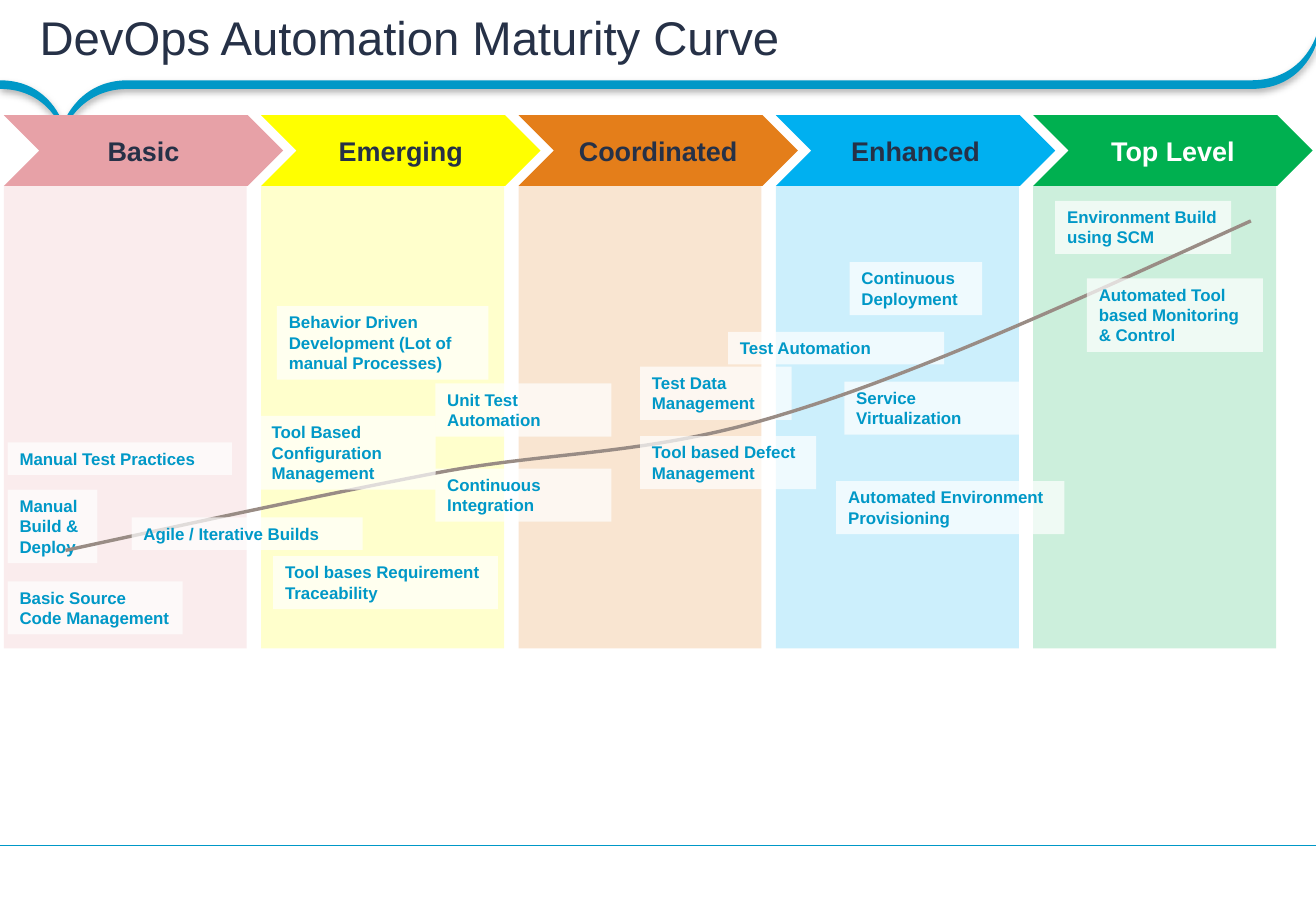
from dataclasses import dataclass
from lxml.etree import SubElement
from pptx import Presentation
from pptx.dml.color import RGBColor
from pptx.enum.shapes import MSO_CONNECTOR, MSO_SHAPE
from pptx.enum.text import MSO_ANCHOR, MSO_AUTO_SIZE, PP_ALIGN
from pptx.oxml.ns import qn
from pptx.util import Cm, Pt


@dataclass(frozen=True)
class Theme:
    font: str = "Arial"
    ink: str = "263147"
    blue: str = "0098C7"
    white: str = "FFFFFF"
    curve: str = "998C85"
    shade: str = "000000"
    title: int = 28
    head: int = 16
    note: int = 10


THEME = Theme()
WIDE, HIGH = 27.51, 19.05  # all lengths in cm

TITLE = "DevOps Automation Maturity Curve"
STAGES = [  # name, fill, text colour
    ("Basic", "E7A1A7", THEME.ink),
    ("Emerging", "FFFF00", THEME.ink),
    ("Coordinated", "E47E1A", THEME.ink),
    ("Enhanced", "00B0F0", THEME.ink),
    ("Top Level", "00B050", THEME.white),
]
# text, left, top, width, number of lines
BACK = [
    ("Basic Source Code Management", 0.16, 12.16, 3.66, 2),
    ("Manual Test Practices", 0.16, 9.25, 4.69, 1),
    ("Manual Build & Deploy", 0.16, 10.24, 1.88, 3),
    ("Unit Test Automation", 9.1, 8.02, 3.68, 2),
    ("Continuous Integration", 9.1, 9.8, 3.68, 2),
    ("Automated Environment Provisioning", 17.48, 10.06, 4.77, 2),
    ("Test Data Management", 13.38, 7.67, 3.17, 2),
    ("Service Virtualization", 17.65, 7.98, 3.68, 2),
    ("Continuous Deployment", 17.76, 5.48, 2.77, 2),
    ("Test Automation", 15.22, 6.94, 4.52, 1),
    ("Environment Build using SCM", 22.06, 4.2, 3.68, 2),
]
FRONT = [
    ("Automated Tool based Monitoring & Control", 22.72, 5.82, 3.68, 3),
    ("Agile / Iterative Builds", 2.75, 10.82, 4.83, 1),
    ("Tool bases Requirement Traceability", 5.71, 11.63, 4.7, 2),
    ("Tool based Defect Management", 13.38, 9.12, 3.68, 2),
    ("Behavior Driven Development (Lot of manual Processes)", 5.79, 6.4, 4.42, 3),
    ("Tool Based Configuration Management", 5.43, 8.7, 3.68, 3),
]
# Bezier knots: start, then two handles and an end for each piece
CURVE = [(1.37, 11.51),
         (3.96, 10.95), (6.53, 10.39), (9.02, 9.91),
         (11.53, 9.42), (13.51, 9.55), (16.38, 8.66),
         (19.23, 7.8), (22.68, 6.2), (26.15, 4.62)]
RIBBON = [(0, 1.68),
          (1.04, 1.68), (1.32, 2.59), (1.32, 2.59),
          (1.32, 2.59), (1.63, 1.68), (2.67, 1.68),
          (2.67, 1.68), (26.16, 1.68), (26.16, 1.68),
          (27.23, 1.68), (27.51, 0.76), (27.51, 0.76)]
THICK = 0.18

LEFT, PITCH = 0.08, 5.38
HEAD_TOP, HEAD_WIDE, HEAD_HIGH = 2.41, 5.84, 1.48
BODY_WIDE, BODY_HIGH = 5.08, 9.67


def paint(shape, color, alpha=100):
    shape.shadow.inherit = False
    shape.line.fill.background()
    shape.fill.solid()
    shape.fill.fore_color.rgb = RGBColor.from_string(color)
    if alpha < 100:
        tint = shape.fill._xPr.find(qn("a:solidFill"))[0]
        SubElement(tint, qn("a:alpha"), val=str(alpha * 1000))


def write(shape, text, size, color, bold=True, align=PP_ALIGN.LEFT):
    frame = shape.text_frame
    frame.word_wrap = True
    frame.vertical_anchor = MSO_ANCHOR.MIDDLE
    para = frame.paragraphs[0]
    para.text = text
    para.alignment = align
    para.font.name = THEME.font
    para.font.size = Pt(size)
    para.font.bold = bold
    para.font.color.rgb = RGBColor.from_string(color)
    return frame


def block(slide, kind, *box):
    return slide.shapes.add_shape(kind, *(Cm(n) for n in box))


def bend(slide, knots, close):
    """Draw a chain of cubic Bezier pieces as one freeform."""
    first, *rest = [(Cm(x), Cm(y)) for x, y in knots]
    build = slide.shapes.build_freeform(*first)
    build.add_line_segments(rest, close=close)
    shape = build.convert_to_shape()
    lines = list(shape._element.iter(qn("a:lnTo")))
    for i in range(0, len(lines), 3):
        trio = lines[i:i + 3]
        trio[0].tag = qn("a:cubicBezTo")
        for line in trio[1:]:
            trio[0].append(line[0])
            line.getparent().remove(line)
    return shape


def add_ribbon(slide):
    lower = [(x, y + THICK) for x, y in reversed(RIBBON)]
    band = bend(slide, RIBBON + lower[:1] * 2 + lower, True)
    paint(band, THEME.blue)
    glow = band._element.spPr.find(qn("a:effectLst"))
    cast = SubElement(glow, qn("a:outerShdw"), blurRad=str(Pt(4)),
                      dist=str(Pt(2)), dir="5400000", rotWithShape="0")
    tint = SubElement(cast, qn("a:srgbClr"), val=THEME.shade)
    SubElement(tint, qn("a:alpha"), val="31000")


def add_rule(slide, y):
    rule = slide.shapes.add_connector(
        MSO_CONNECTOR.STRAIGHT, Cm(WIDE), Cm(y), 0, Cm(y))
    rule.line.color.rgb = RGBColor.from_string(THEME.blue)
    rule.line.width = Pt(0.75)
    SubElement(rule._element.spPr, qn("a:effectLst"))


def add_title(slide):
    box = slide.shapes.add_textbox(0, 0, Cm(WIDE), Cm(1.73))
    frame = write(box, TITLE, THEME.title, THEME.ink, bold=False)
    frame.margin_left, frame.margin_right = Cm(0.83), Cm(0.46)
    frame.margin_top = frame.margin_bottom = Cm(0.1)
    frame.paragraphs[0].line_spacing = 0.85


def add_stages(slide):
    for i, (_, color, _) in enumerate(STAGES):
        body = block(slide, MSO_SHAPE.RECTANGLE, LEFT + i * PITCH,
                     HEAD_TOP + HEAD_HIGH, BODY_WIDE, BODY_HIGH)
        paint(body, color, 20)
    for i, (name, color, ink) in enumerate(STAGES):
        head = block(slide, MSO_SHAPE.CHEVRON, LEFT + i * PITCH,
                     HEAD_TOP, HEAD_WIDE, HEAD_HIGH)
        paint(head, color)
        write(head, name, THEME.head, ink, align=PP_ALIGN.CENTER)


def add_notes(slide, notes):
    for text, x, y, wide, lines in notes:
        note = block(slide, MSO_SHAPE.RECTANGLE, x, y, wide, 0.25 + 0.43 * lines)
        paint(note, THEME.white, 70)
        frame = write(note, text, THEME.note, THEME.blue)
        frame.vertical_anchor = MSO_ANCHOR.TOP
        frame.auto_size = MSO_AUTO_SIZE.SHAPE_TO_FIT_TEXT


def add_curve(slide):
    curve = bend(slide, CURVE, False)
    curve.shadow.inherit = False
    curve.fill.background()
    curve.line.color.rgb = RGBColor.from_string(THEME.curve)
    curve.line.width = Pt(2)


def main():
    deck = Presentation()
    deck.slide_width, deck.slide_height = Cm(WIDE), Cm(HIGH)
    slide = deck.slides.add_slide(deck.slide_layouts[6])
    add_ribbon(slide)
    add_rule(slide, 17.68)
    add_title(slide)
    add_stages(slide)
    add_notes(slide, BACK)
    add_curve(slide)
    add_notes(slide, FRONT)
    deck.save("out.pptx")


if __name__ == "__main__":
    main()
